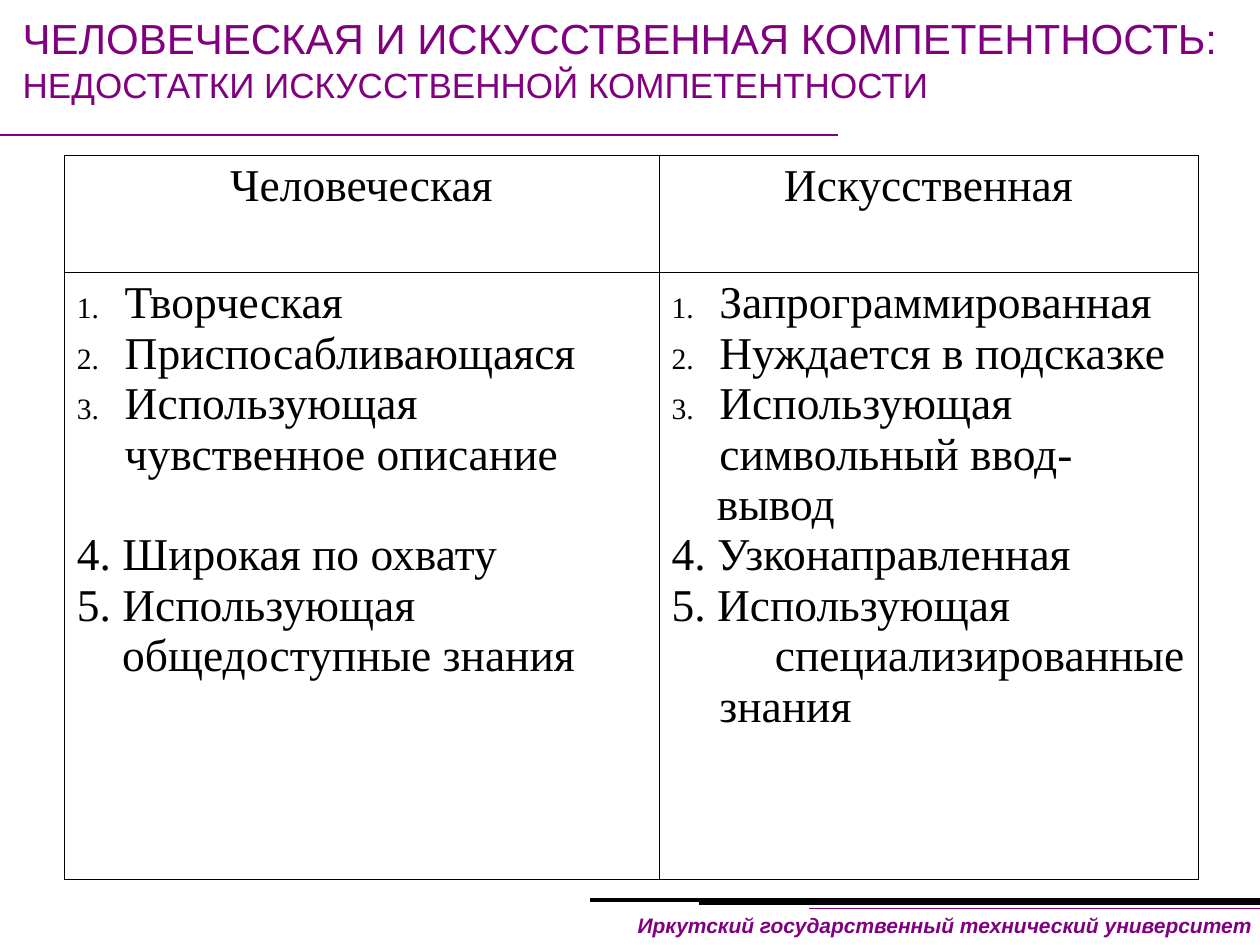
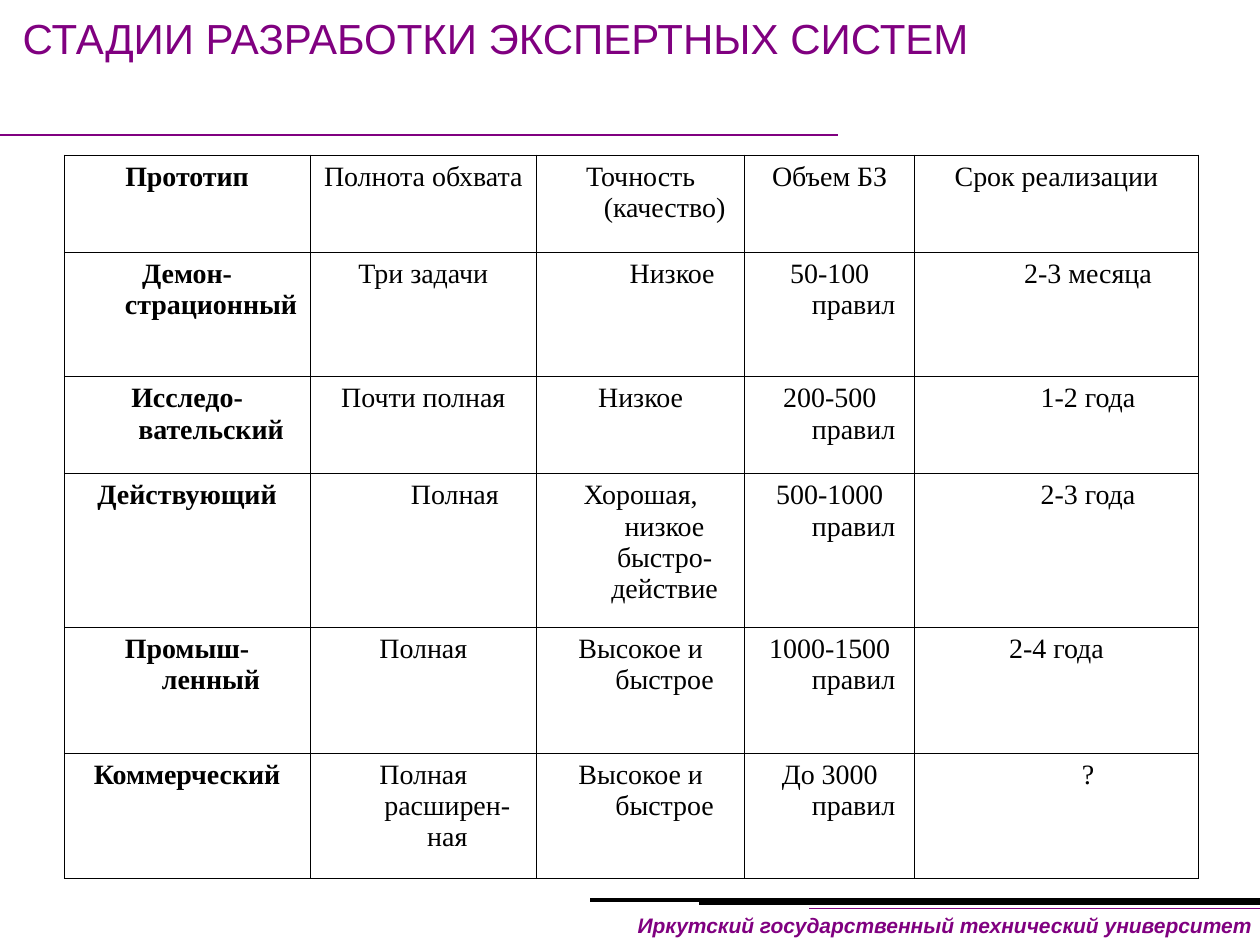
from dataclasses import dataclass
from lxml import etree
from pptx import Presentation
from pptx import util as u
from pptx.dml.color import RGBColor
from pptx.enum import shapes, text
from pptx.oxml import ns

PX = u.Inches(1) // 100


@dataclass(frozen=True)
class Theme:
    purple: str = "800080"
    black: str = "000000"
    heading_font: str = "Arial"
    table_font: str = "Times New Roman"
    title: int = 24
    subtitle: int = 20
    comparison: int = 26
    stages: int = 16
    footer: int = 12
    border: float = 0.45


theme = Theme()
left, center, right, justify = (
    text.PP_ALIGN.LEFT, text.PP_ALIGN.CENTER, text.PP_ALIGN.RIGHT, text.PP_ALIGN.JUSTIFY)


def write(para, words, size, font=theme.table_font, color=theme.black, bold=False,
          italic=False, align=left, margin=0, indent=0, before=0, numbered=False):
    props = para._p.get_or_add_pPr()
    props.set("marL", str(margin * PX))
    props.set("indent", str(indent * PX))
    if numbered:
        bullet_color = etree.SubElement(props, ns.qn("a:buClr"))
        etree.SubElement(bullet_color, ns.qn("a:srgbClr"), val=color)
        etree.SubElement(props, ns.qn("a:buSzPct"), val="65000")
        etree.SubElement(props, ns.qn("a:buAutoNum"), type="arabicPeriod")
    para.alignment = align
    para.space_before = u.Emu(before * PX)
    span = para.add_run()
    span.text = words
    span.font.size = u.Pt(size)
    span.font.name = font
    span.font.bold = bold
    span.font.italic = italic
    span.font.color.rgb = RGBColor.from_string(color)


def add_grid(page, widths, heights, rows):
    frame = page.shapes.add_table(len(heights), len(widths), 51 * PX, 123 * PX,
                                  sum(widths) * PX, sum(heights) * PX)
    table = frame.table
    table.first_row = table.horz_banding = False
    for column, width in zip(table.columns, widths):
        column.width = width * PX
    for row, height in zip(table.rows, heights):
        row.height = height * PX
    for row, contents in zip(table.rows, rows):
        for cell, items in zip(row.cells, contents):
            cell.fill.background()
            props = cell._tc.get_or_add_tcPr()
            for place, side in enumerate(("lnL", "lnR", "lnT", "lnB")):
                edge = etree.Element(ns.qn("a:" + side), w=str(u.Pt(theme.border)))
                fill = etree.SubElement(edge, ns.qn("a:solidFill"))
                etree.SubElement(fill, ns.qn("a:srgbClr"), val=theme.black)
                props.insert(place, edge)
            for number, (words, style) in enumerate(items):
                body = cell.text_frame
                para = body.add_paragraph() if number else body.paragraphs[0]
                write(para, words, **style)


deck = Presentation()
deck.slide_width = 1000 * PX
deck.slide_height = 750 * PX
layout = deck.slide_layouts[5]
for holder in list(layout.placeholders)[1:]:
    holder.element.getparent().remove(holder.element)

titles = [
    [("ЧЕЛОВЕЧЕСКАЯ И ИСКУССТВЕННАЯ КОМПЕТЕНТНОСТЬ:", theme.title),
     ("НЕДОСТАТКИ ИСКУССТВЕННОЙ КОМПЕТЕНТНОСТИ", theme.subtitle)],
    [("СТАДИИ РАЗРАБОТКИ ЭКСПЕРТНЫХ СИСТЕМ", theme.title)],
]
pages = []
for lines in titles:
    page = deck.slides.add_slide(layout)
    pages.append(page)
    title = page.shapes.title
    title.left, title.top, title.width, title.height = 8 * PX, 5 * PX, 996 * PX, 61 * PX
    title.text_frame.auto_size = text.MSO_AUTO_SIZE.NONE
    title.text_frame.vertical_anchor = text.MSO_ANCHOR.TOP
    para = title.text_frame.paragraphs[0]
    for number, (words, size) in enumerate(lines):
        if number:
            para.add_line_break()
        write(para, words, size, font=theme.heading_font, color=theme.purple)

comparison_page, stages_page = pages

box = comparison_page.shapes.add_textbox(494 * PX, 719 * PX, 510 * PX, 30 * PX)
box.text_frame.word_wrap = False
box.text_frame.auto_size = text.MSO_AUTO_SIZE.SHAPE_TO_FIT_TEXT
write(box.text_frame.paragraphs[0], "Иркутский государственный технический университет",
      theme.footer, font=theme.heading_font, color=theme.purple, bold=True, italic=True, align=right)
shared = [box]
for start, end, y, color, weight in [
    (1004, 642, 721, theme.purple, 1),
    (1004, 555, 717, theme.black, 1.5),
    (1004, 468, 714, theme.black, 2.25),
    (-4, 665, 107, theme.purple, 1),
]:
    rule = comparison_page.shapes.add_connector(
        shapes.MSO_CONNECTOR.STRAIGHT, start * PX, y * PX, end * PX, y * PX)
    rule.line.color.rgb = RGBColor.from_string(color)
    rule.line.width = u.Pt(weight)
    etree.SubElement(rule.element.spPr, ns.qn("a:effectLst"))
    shared.append(rule)
for number, shape in enumerate(shared, start=20):
    shape.element.xpath(".//p:cNvPr")[0].set("id", str(number))
    layout.shapes.element.append(shape.element)

heading = dict(size=theme.comparison, align=center, margin=38, indent=-38)
plain = dict(heading, align=justify)
listed = dict(plain, numbered=True)
after_gap = dict(plain, before=40)
continued = dict(plain, margin=36, indent=0)
stretched = dict(plain, indent=44)
add_grid(comparison_page, [472, 428], [93, 482], [
    [[("Человеческая", heading)], [("Искусственная", heading)]],
    [[("Творческая", listed),
      ("Приспосабливающаяся", listed),
      ("Использующая чувственное описание", listed),
      ("4. Широкая по охвату", after_gap),
      ("5. Использующая", plain),
      ("общедоступные знания", continued)],
     [("Запрограммированная", listed),
      ("Нуждается в подсказке", listed),
      ("Использующая символьный ввод-", listed),
      ("вывод", continued),
      ("4. Узконаправленная", plain),
      ("5. Использующая", plain),
      ("специализированные знания", stretched)]],
])

stages = [
    ["Прототип", "Полнота обхвата", "Точность (качество)", "Объем БЗ", "Срок реализации"],
    ["Демон-страционный", "Три задачи", "Низкое", "50-100 правил", "2-3 месяца"],
    ["Исследо-вательский", "Почти полная", "Низкое", "200-500 правил", "1-2 года"],
    ["Действующий", "Полная", "Хорошая, низкое быстро-действие", "500-1000 правил", "2-3 года"],
    ["Промыш-ленный", "Полная", "Высокое и быстрое", "1000-1500 правил", "2-4 года"],
    ["Коммерческий", "Полная расширен-ная", "Высокое и быстрое", "До 3000 правил", "?"],
]
shifted = {(1, 2), (1, 4), (2, 4), (3, 1), (3, 4), (5, 4)}
stage_rows = []
for row, names in enumerate(stages):
    stage_rows.append([
        [(words, dict(size=theme.stages, align=center, margin=38, bold=column == 0,
                      indent=12 if (row, column) in shifted else -38))]
        for column, words in enumerate(names)])
add_grid(stages_page, [195, 180, 165, 135, 225], [77, 99, 77, 122, 100, 99], stage_rows)

deck.save("out.pptx")
